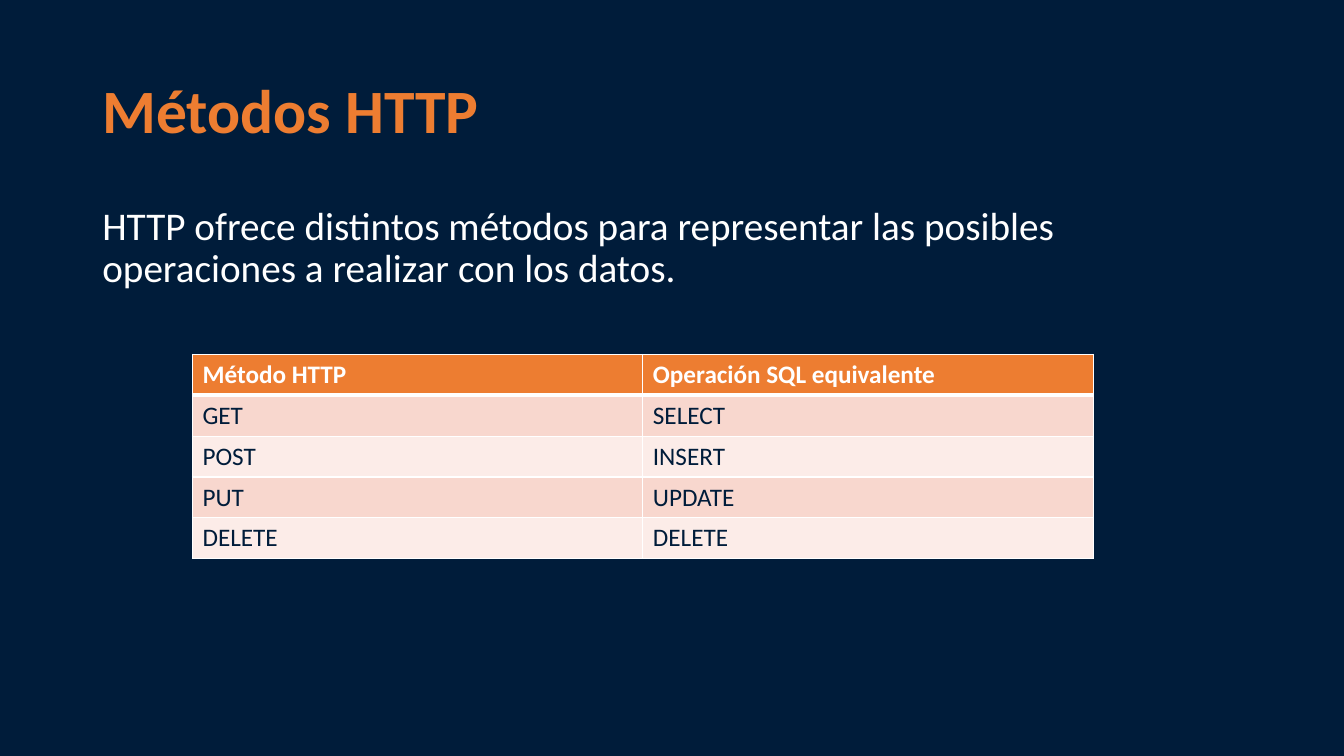
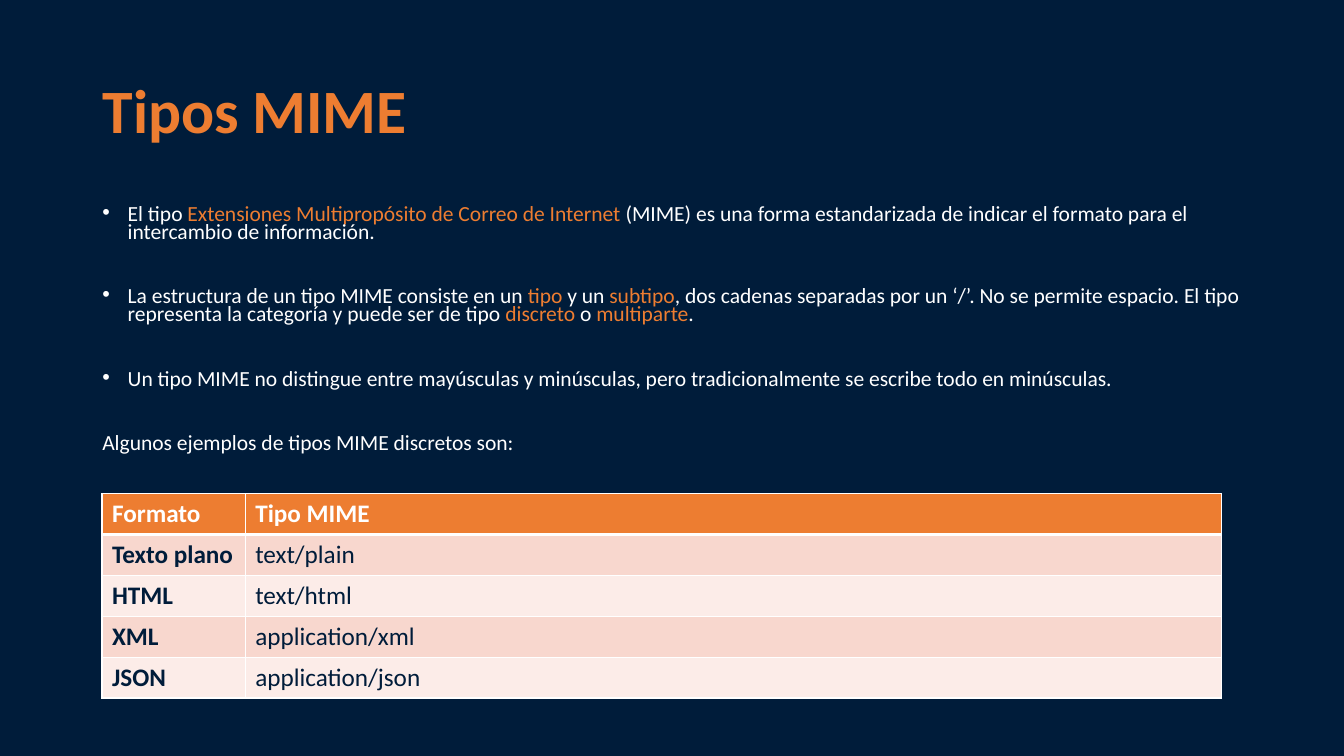
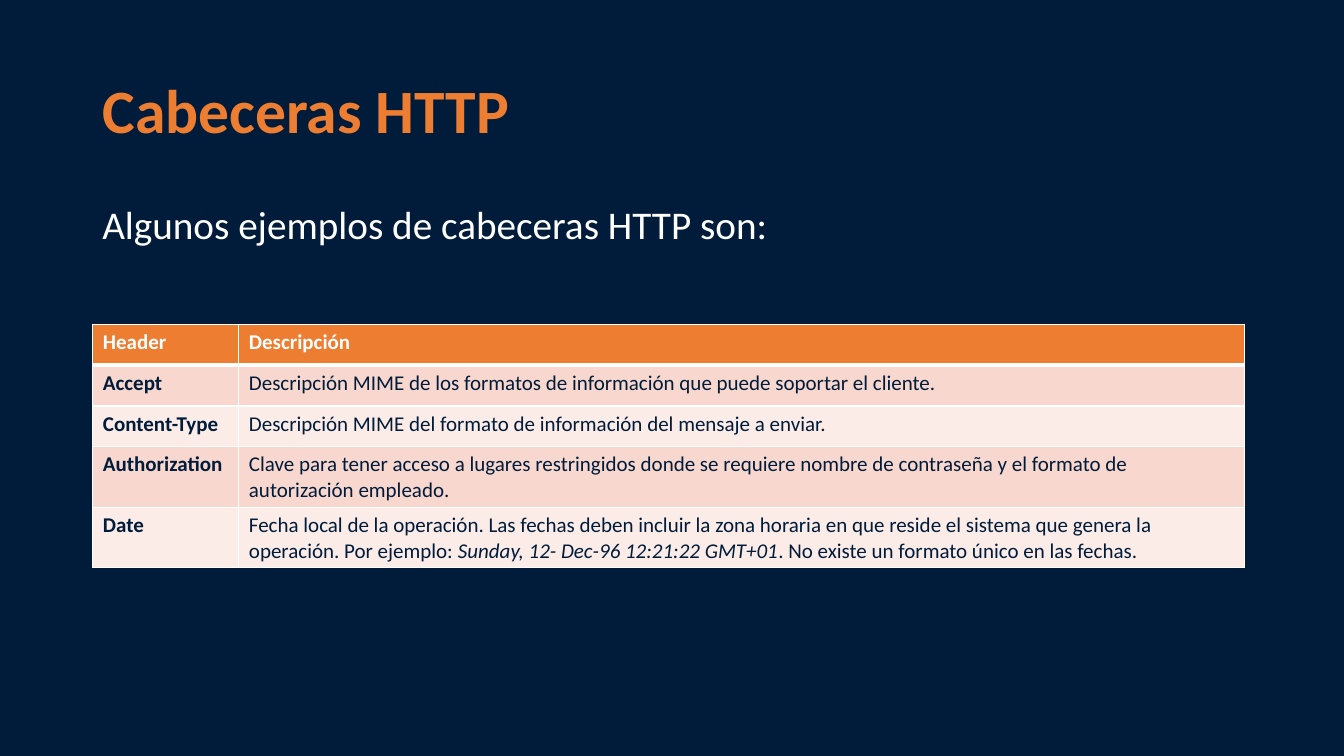
from lxml import etree
from pptx import Presentation
from pptx.dml.color import RGBColor
from pptx.enum.text import MSO_ANCHOR, MSO_AUTO_SIZE, PP_ALIGN
from pptx.oxml.ns import qn
from pptx.util import Cm, Pt

LEFT = PP_ALIGN.LEFT
MIDDLE = MSO_ANCHOR.MIDDLE
NO_FIT = MSO_AUTO_SIZE.NONE

NAVY, ORANGE, WHITE = "001C3A", "ED7D31", "FFFFFF"
BANDS = ["FCECE8", "F8D7CE"]
FONT = "Calibri"
EDGE, WIDE = Cm(2.33), Cm(29.21)
ROW = Cm(1.03)
INDENT = Cm(0.64)


def paint(target, color):
    """Give a fill or a font a solid colour from a hex string."""
    if hasattr(target, "solid"):
        target.solid()
        target.fore_color.rgb = RGBColor.from_string(color)
    else:
        target.color.rgb = RGBColor.from_string(color)


def write(par, text, base, accent):
    """Add runs to a paragraph; pieces between asterisks take the accent."""
    for i, piece in enumerate(text.split("*")):
        style = {"name": FONT, **base, **(accent if i % 2 else {})}
        run = par.add_run()
        run.text = piece
        paint(run.font, style.pop("color"))
        for key, value in style.items():
            setattr(run.font, key, value)


PAGES = [
    {
        "title": "Métodos HTTP",
        "body": ["HTTP ofrece\u00a0distintos métodos\u00a0para representar\u00a0las "
                 "posibles operaciones a realizar con los datos.\u00a0"],
        "bullets": 0, "size": 28, "lines": 0.9, "gap": 10,
        "top": 5.08, "high": 3.07,
        "place": (4.85, 8.93), "cols": (11.35, 11.35),
        "cell": 18, "bold": False,
        "rows": [
            ("Método HTTP", "Operación SQL equivalente"),
            ("GET", "SELECT"),
            ("POST", "INSERT"),
            ("PUT", "UPDATE"),
            ("DELETE", "DELETE"),
        ],
    },
    {
        "title": "Tipos MIME",
        "body": [
            "El tipo *Extensiones Multipropósito de Correo de Internet *(MIME) "
            "es\u00a0una forma estandarizada de indicar el formato para el "
            "intercambio de información.",
            "La estructura de un tipo MIME consiste en un *tipo* y un *subtipo*, "
            "dos cadenas separadas por un ‘/’. No se permite espacio. El tipo "
            "representa la categoría y puede ser de tipo *discreto* o "
            "*multiparte*.",
            "Un tipo MIME no distingue entre mayúsculas y minúsculas, pero "
            "tradicionalmente se escribe todo en minúsculas.",
            "Algunos ejemplos de tipos MIME discretos son:",
        ],
        "bullets": 3, "size": 15.4, "lines": 0.7, "gap": 33.15,
        "top": 5.08, "high": 7.06,
        "place": (2.57, 12.44), "cols": (3.61, 24.61),
        "cell": 18, "bold": True,
        "rows": [
            ("Formato", "Tipo MIME"),
            ("Texto plano", "text/plain"),
            ("HTML", "text/html"),
            ("XML", "application/xml"),
            ("JSON", "application/json"),
        ],
    },
    {
        "title": "Cabeceras HTTP",
        "body": ["Algunos ejemplos de cabeceras HTTP son:"],
        "bullets": 0, "size": 28, "lines": 0.9, "gap": 10,
        "top": 5.06, "high": 1.52,
        "place": (2.34, 8.17), "cols": (3.68, 25.35),
        "cell": 15, "bold": True,
        "rows": [
            ("Header", "Descripción"),
            ("Accept", "Descripción MIME de los formatos de información que "
                       "puede soportar el cliente."),
            ("Content-Type", "Descripción MIME del formato de información del "
                             "mensaje a enviar."),
            ("Authorization", "Clave para tener acceso a lugares restringidos "
                              "donde se requiere nombre de contraseña y el "
                              "formato de autorización empleado. "),
            ("Date", "Fecha local de la operación. Las fechas deben incluir la "
                     "zona horaria en que reside el sistema que genera la "
                     "operación. Por ejemplo: *Sunday, 12- Dec-96 12:21:22 "
                     "GMT+01*. No existe un formato único en las fechas."),
        ],
    },
]

deck = Presentation()
deck.slide_width, deck.slide_height = Cm(33.87), Cm(19.05)
paint(deck.slide_master.background.fill, NAVY)
layout = deck.slide_layouts[5]

for page in PAGES:
    slide = deck.slides.add_slide(layout)

    # Title
    title = slide.shapes.title
    spot = {"left": EDGE, "top": Cm(1.01), "width": WIDE, "height": Cm(3.68)}
    for key, value in spot.items():
        setattr(title, key, value)
    frame = title.text_frame
    frame.auto_size, frame.vertical_anchor = NO_FIT, MIDDLE
    head = frame.paragraphs[0]
    head.alignment, head.line_spacing = LEFT, 0.9
    write(head, page["title"],
          {"size": Pt(44), "bold": True, "color": ORANGE}, {})

    # Body text
    box = slide.shapes.add_textbox(EDGE, Cm(page["top"]), WIDE, Cm(page["high"]))
    frame = box.text_frame
    frame.word_wrap = True
    for i, text in enumerate(page["body"]):
        par = frame.add_paragraph() if i else frame.paragraphs[0]
        par.line_spacing = page["lines"]
        par.space_before = Pt(page["gap"] if i else 10)
        if i < page["bullets"]:
            props = par._p.get_or_add_pPr()
            props.set("marL", str(INDENT))
            props.set("indent", str(-INDENT))
            etree.SubElement(props, qn("a:buFont")).set("typeface", "Arial")
            etree.SubElement(props, qn("a:buChar")).set("char", "•")
        write(par, text, {"size": Pt(page["size"]), "color": WHITE},
              {"color": ORANGE})

    # Table
    rows, cols = page["rows"], page["cols"]
    left, top = page["place"]
    grid = slide.shapes.add_table(len(rows), len(cols), Cm(left), Cm(top),
                                  Cm(sum(cols)), ROW * len(rows)).table
    for col, width in zip(grid.columns, cols):
        col.width = Cm(width)
    for r, row in enumerate(rows):
        grid.rows[r].height = ROW
        for c, text in enumerate(row):
            cell = grid.cell(r, c)
            props = cell._tc.get_or_add_tcPr()
            for side in "LRTB":
                thick = (r, side) in [(0, "B"), (1, "T")]
                line = etree.SubElement(props, qn("a:ln" + side))
                line.set("w", str(Pt(3 if thick else 1)))
                fill = etree.SubElement(line, qn("a:solidFill"))
                etree.SubElement(fill, qn("a:srgbClr")).set("val", WHITE)
            paint(cell.fill, BANDS[r % 2] if r else ORANGE)
            style = {"size": Pt(page["cell"]),
                     "bold": r == 0 or (c == 0 and page["bold"]),
                     "color": NAVY if r else WHITE}
            write(cell.text_frame.paragraphs[0], text, style, {"italic": True})

deck.save("out.pptx")
